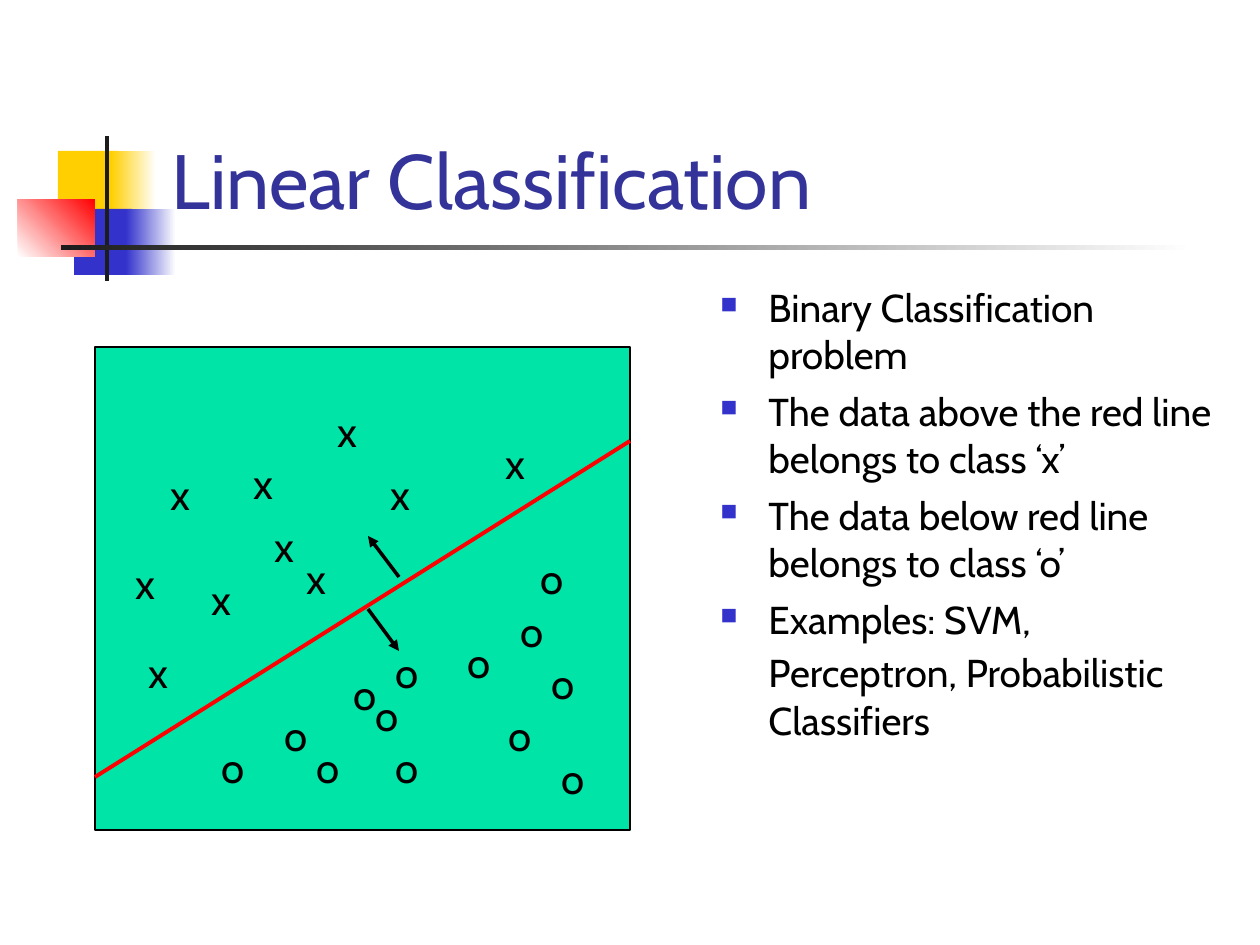
import pptx
import pptx.dml.color
import pptx.enum.shapes
import pptx.enum.text
import pptx.oxml
import pptx.oxml.ns
import pptx.util

PX = 914400 // 126
FONT = "Cabin"
COLORS = {
    "white": "FFFFFF", "black": "000000", "ink": "1C1C1C", "title": "333399",
    "yellow": "FFCF01", "blue": "3333CC", "red": "FF0000", "panel": "00E4A8",
}
CROSSES = [(28, 204), (398, 84), (146, 104), (199, 199), (283, 115),
           (63, 115), (104, 220), (230, 52), (167, 167), (41, 293)]
CIRCLES = [(246, 315), (268, 336), (288, 293), (177, 356), (288, 388),
           (401, 356), (433, 199), (360, 283), (114, 388), (209, 388),
           (444, 304), (413, 252), (454, 399)]
POINTS = [
    [("Binary Classification problem", 22.2)],
    [("The data above the red line belongs to class ‘x’", 22.2)],
    [("The data below red line belongs to class ‘o’", 22.2)],
    [("Examples: SVM, Perceptron, Probabilistic", 22.2), (" ", 25.9),
     ("Classifiers", 22.2)],
]


def px(*lengths):
    """Turn pixel lengths into EMU."""
    return [pptx.util.Emu(n * PX) for n in lengths]


def rgb(name):
    """Look up a named colour."""
    return pptx.dml.color.RGBColor.from_string(COLORS[name])


def add_xml(parent, tag, **attrs):
    """Append a drawing element with the given attributes."""
    child = pptx.oxml.parse_xml(f"<a:{tag} {pptx.oxml.ns.nsdecls('a')}/>")
    for key, value in attrs.items():
        child.set(key, value)
    parent.append(child)
    return child


def add_text(p, text, size=24, color="black"):
    """Add a formatted run to a paragraph."""
    r = p.add_run()
    r.text = text
    r.font.name = FONT
    r.font.size = pptx.util.Pt(size)
    r.font.color.rgb = rgb(color)


def add_rect(s, box, color, fade_from=None, angle=0, line=None):
    """Add a plain or gradient rectangle."""
    sp = s.shapes.add_shape(pptx.enum.shapes.MSO_SHAPE.RECTANGLE, *px(*box))
    sp.shadow.inherit = False
    if fade_from:
        sp.fill.gradient()
        sp.fill.gradient_angle = angle
        for stop, name in zip(sp.fill.gradient_stops, (fade_from, color)):
            stop.color.rgb = rgb(name)
    else:
        sp.fill.solid()
        sp.fill.fore_color.rgb = rgb(color)
    if line:
        sp.line.color.rgb = rgb(line)
        sp.line.width = pptx.util.Pt(0.75)
    else:
        sp.line.fill.background()


def add_line(s, start, end, color, width, arrow=False):
    """Add a straight line, with an arrowhead at its end if asked."""
    sp = s.shapes.add_connector(
        pptx.enum.shapes.MSO_CONNECTOR.STRAIGHT, *px(*start, *end))
    sp.line.color.rgb = rgb(color)
    sp.line.width = pptx.util.Pt(width)
    if arrow:
        add_xml(sp.line._get_or_add_ln(), "tailEnd", type="triangle")
    add_xml(sp._element.spPr, "effectLst")


def add_ornament(s, x, y):
    """Draw the coloured squares and crossing bars beside the title."""
    add_rect(s, (x + 40, y + 15, 60, 66), "yellow")
    add_rect(s, (x + 93, y + 15, 45, 66), "white", fade_from="yellow")
    add_rect(s, (x + 56, y + 73, 58, 66), "blue")
    add_rect(s, (x + 108, y + 73, 50, 66), "white", fade_from="blue")
    add_rect(s, (x, y + 63, 77, 58), "red", fade_from="white", angle=45)
    add_rect(s, (x + 87, y, 4, 145), "ink")
    add_rect(s, (x + 43, y + 109, 1134, 5), "white", fade_from="ink")


def set_title(s, box, text):
    """Place and fill the title placeholder."""
    sp = s.shapes.title
    sp.left, sp.top, sp.width, sp.height = px(*box)
    tf = sp.text_frame
    tf.vertical_anchor = pptx.enum.text.MSO_ANCHOR.BOTTOM
    p = tf.paragraphs[0]
    p.alignment = pptx.enum.text.PP_ALIGN.LEFT
    add_text(p, text, size=44, color="title")


def add_points(s, box, points):
    """Add the bulleted list."""
    tf = s.shapes.add_textbox(*px(*box)).text_frame
    tf.word_wrap = True
    for i, runs in enumerate(points):
        p = tf.paragraphs[0] if i == 0 else tf.add_paragraph()
        p.space_before = pptx.util.Pt(6 if i else 0)
        pPr = p._p.get_or_add_pPr()
        indent = 48 * PX
        pPr.set("marL", str(indent))
        pPr.set("indent", str(-indent))
        add_xml(add_xml(pPr, "buClr"), "srgbClr", val=COLORS["blue"])
        add_xml(pPr, "buSzPct", val="60000")
        add_xml(pPr, "buChar", char="■")
        for text, size in runs:
            add_text(p, text, size=size)


def add_marks(s, x, y, mark, width, places):
    """Scatter one class mark over its places."""
    for dx, dy in places:
        tf = s.shapes.add_textbox(*px(x + dx, y + dy, width, 63)).text_frame
        tf.word_wrap = False
        add_text(tf.paragraphs[0], mark)


def add_scatter(s, x, y, width, height):
    """Draw the data panel with its separating line, marks and arrows."""
    add_rect(s, (x, y, width, height), "panel", line="black")
    add_line(s, (x, y + 430), (x + width, y + 94), "red", 2.25)
    add_marks(s, x, y, "x", 47, CROSSES)
    add_marks(s, x, y, "o", 50, CIRCLES)
    add_line(s, (x + 304, y + 230), (x + 273, y + 189), "black", 2, arrow=True)
    add_line(s, (x + 273, y + 262), (x + 304, y + 304), "black", 2, arrow=True)


def main():
    """Build the slide and save it."""
    prs = pptx.Presentation()
    prs.slide_width, prs.slide_height = px(1260, 945)
    s = prs.slides.add_slide(prs.slide_layouts[5])
    add_ornament(s, 18, 136)
    set_title(s, (159, 29, 1074, 202), "Linear Classification")
    add_points(s, (708, 278, 525, 567), POINTS)
    add_scatter(s, 95, 347, 535, 483)
    prs.save("out.pptx")


if __name__ == "__main__":
    main()
